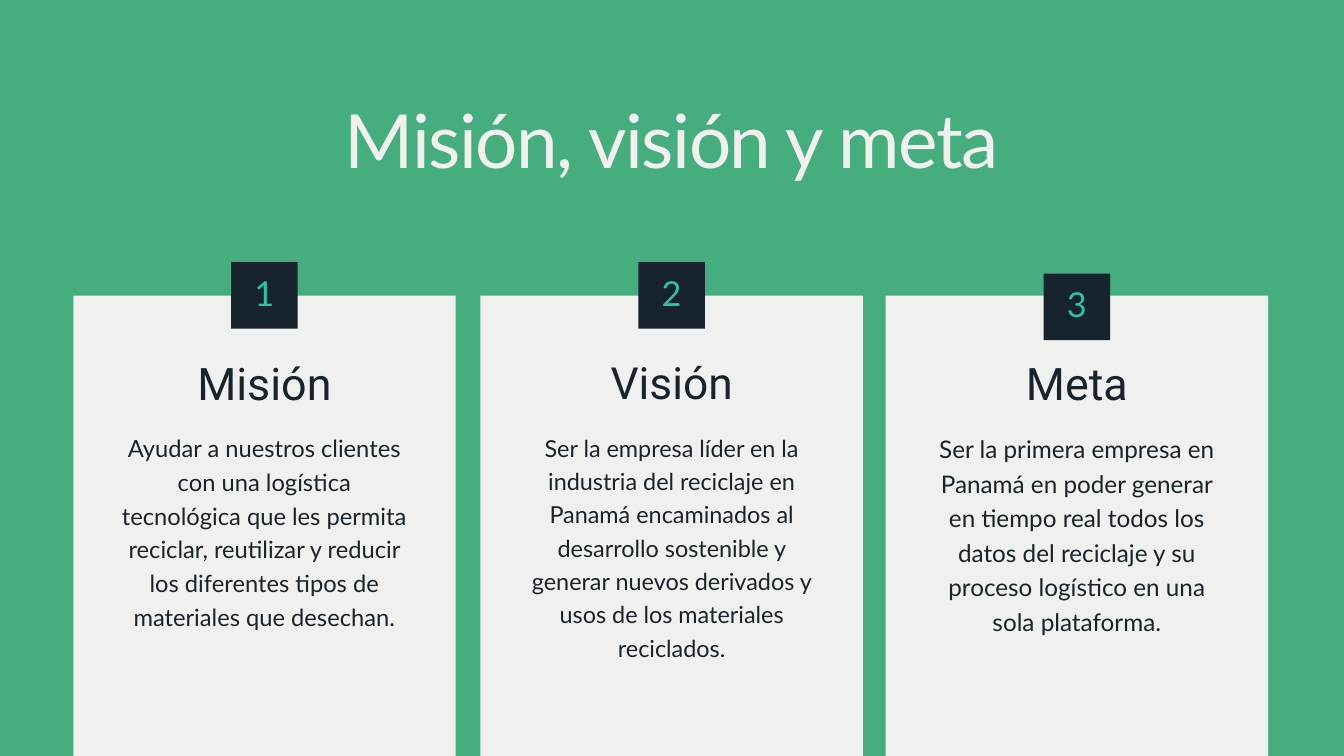
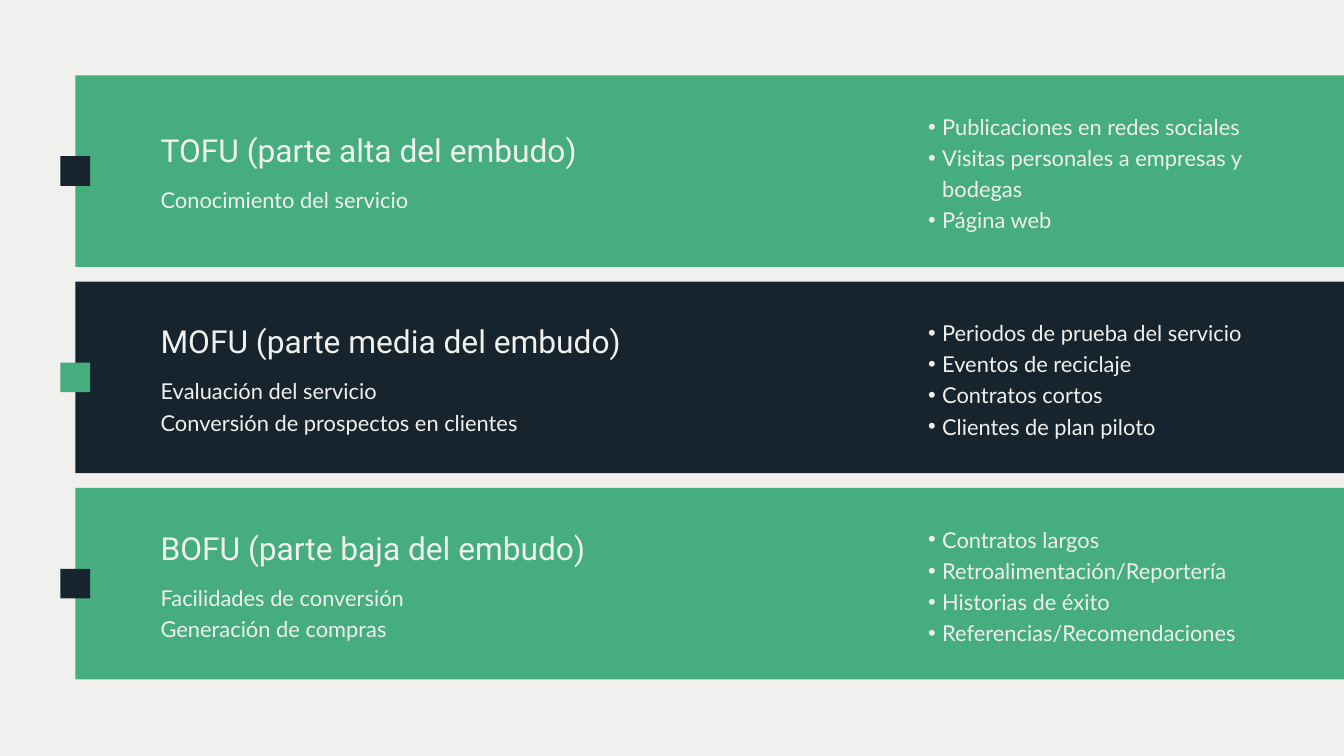
from lxml.etree import SubElement
from pptx import Presentation
from pptx.dml.color import RGBColor
from pptx.enum.shapes import MSO_SHAPE as Shape
from pptx.enum.text import MSO_AUTO_SIZE as AutoSize, PP_ALIGN as Align
from pptx.oxml.ns import qn
from pptx.util import Inches, Pt

# Grid: square cells, 20 columns by 11.25 rows
COLUMNS, ROWS = 20, 11.25
CELL = Inches(1)

# Shared colours and text styles
GREEN, DARK, LIGHT, MINT = "45AD7E", "17242D", "F0F0EE", "31C29F"
TITLE = dict(font="Lato", size=80, leading=96, color=LIGHT, tracking=-160, align=Align.CENTER)
NUMBER = dict(font="Lato", size=36.8, leading=36.8, color=MINT, tracking=-70, align=Align.CENTER)
CARD_HEAD = dict(font="Roboto", size=48, leading=60.5, color=DARK, align=Align.CENTER)
CARD_BODY = dict(font="Lato", size=25.4, leading=36.1, color=DARK, align=Align.CENTER)
BAND_HEAD = dict(font="Roboto", size=34, leading=40.8, color=LIGHT)
BAND_BODY = dict(font="Lato", size=23.4, leading=33.3, color=LIGHT)
BAND_LIST = dict(BAND_BODY, bullet="•")

# Cards: left, badge top, text width, body top, body height, head and body changes, texts
CARDS = [
    (1.09, 3.9, 4.44, 6.38, 2.95, {}, {}, "Misión",
     "Ayudar a nuestros clientes con una logística tecnológica que les permita "
     "reciclar, reutilizar y reducir los diferentes tipos de materiales que desechan."),
    (7.15, 3.9, 4.51, 6.38, 3.4, dict(size=47.4, leading=59.7),
     dict(size=25.1, leading=35.7), "Visión",
     "Ser la empresa líder en la industria del reciclaje en Panamá encaminados al "
     "desarrollo sostenible y generar nuevos derivados y usos de los materiales reciclados."),
    (13.18, 4.07, 4.44, 6.39, 3.03, {}, dict(size=26, leading=36.9), "Meta",
     "Ser la primera empresa en Panamá en poder generar en tiempo real todos los "
     "datos del reciclaje y su proceso logístico en una sola plataforma."),
]
CARD_TOP, CARD_WIDTH, BADGE = 4.4, 5.69, 0.99

# Funnel bands: fill, marker fill, heading, details, actions
BANDS = [
    (GREEN, DARK, "TOFU (parte alta del embudo)", ["Conocimiento del servicio"],
     ["Publicaciones en redes sociales", "Visitas personales a empresas y bodegas",
      "Página web"]),
    (DARK, GREEN, "MOFU (parte media del embudo)",
     ["Evaluación del servicio", "Conversión de prospectos en clientes"],
     ["Periodos de prueba del servicio", "Eventos de reciclaje", "Contratos cortos",
      "Clientes de plan piloto"]),
    (GREEN, DARK, "BOFU (parte baja del embudo)",
     ["Facilidades de conversión", "Generación de compras"],
     ["Contratos largos", "Retroalimentación/Reportería", "Historias de éxito",
      "Referencias/Recomendaciones"]),
]
BAND_LEFT, BAND_TOP, BAND_HEIGHT, BAND_GAP = 1.12, 1.12, 2.85, 0.22
MARKER = 0.44


def rgb(color):
    return RGBColor.from_string(color)


def cells(*amounts):
    return [round(amount * CELL) for amount in amounts]


def add_page(deck, color):
    page = deck.slides.add_slide(deck.slide_layouts[6])
    page.background.fill.solid()
    page.background.fill.fore_color.rgb = rgb(color)
    return page


def add_block(parent, left, top, width, height, color):
    block = parent.shapes.add_shape(Shape.RECTANGLE, *cells(left, top, width, height))
    block.shadow.inherit = False
    block.fill.solid()
    block.fill.fore_color.rgb = rgb(color)
    block.line.fill.background()


def add_bullet(para, mark):
    para.level = 1
    properties = para._p.get_or_add_pPr()
    indent, hanging = cells(0.42, -0.21)
    for name, value in {"marL": indent, "indent": hanging}.items():
        properties.set(name, str(value))
    SubElement(properties, qn("a:buFont")).set("typeface", "Arial")
    SubElement(properties, qn("a:buChar")).set("char", mark)


def add_text(parent, left, top, width, height, lines, style):
    box = parent.shapes.add_textbox(*cells(left, top, width, height))
    frame = box.text_frame
    settings = dict(margin_left=0, margin_top=0, margin_right=0, margin_bottom=0,
                    word_wrap=True, auto_size=AutoSize.SHAPE_TO_FIT_TEXT)
    for name, value in settings.items():
        setattr(frame, name, value)
    for index, line in enumerate(lines):
        para = frame.paragraphs[0] if index == 0 else frame.add_paragraph()
        para.alignment = style.get("align", Align.LEFT)
        para.line_spacing = Pt(style["leading"])
        if "bullet" in style:
            add_bullet(para, style["bullet"])
        span = para.add_run()
        span.text = line
        for name, value in dict(name=style["font"], size=Pt(style["size"])).items():
            setattr(span.font, name, value)
        span.font.color.rgb = rgb(style["color"])
        if "tracking" in style:
            span._r.get_or_add_rPr().set("spc", str(style["tracking"]))


def add_badge(page, center, top, number):
    group = page.shapes.add_group_shape()
    add_block(group, center - BADGE / 2, top, BADGE, BADGE, DARK)
    add_text(group, center - 0.34, top + 0.25, 0.68, 0.55, [str(number)], NUMBER)


def add_card(page, number, card):
    left, badge_top, width, body_top, body_height, head_format, body_format, head, body = card
    center = left + CARD_WIDTH / 2
    add_block(page, left, CARD_TOP, CARD_WIDTH, ROWS - CARD_TOP, LIGHT)
    add_badge(page, center, badge_top, number)
    group = page.shapes.add_group_shape()
    text_left = center - width / 2
    add_text(group, text_left, 5.25, width, 0.82, [head], CARD_HEAD | head_format)
    add_text(group, text_left, body_top, width, body_height, [body], CARD_BODY | body_format)


def add_band(page, top, band):
    color, marker_color, head, details, actions = band
    add_block(page, BAND_LEFT, top, COLUMNS - BAND_LEFT, BAND_HEIGHT, color)
    add_block(page, BAND_LEFT - MARKER / 2, top + (BAND_HEIGHT - MARKER) / 2,
              MARKER, MARKER, marker_color)

    # Heading and details are centred together in the band's height
    details_height = 0.44 * len(details)
    head_top = top + (BAND_HEIGHT - 0.76 - details_height) / 2
    group = page.shapes.add_group_shape()
    add_text(group, 2.39, head_top, 10.08, 0.56, [head], BAND_HEAD)
    add_text(group, 2.39, head_top + 0.76, 10.08, details_height, details, BAND_BODY)
    add_text(page, 13.6, top + 0.5, 5.28, 1.81, actions, BAND_LIST)


def main():
    deck = Presentation()
    deck.slide_width, deck.slide_height = cells(COLUMNS, ROWS)

    # Mission, vision and goal
    page = add_page(deck, GREEN)
    for number, card in enumerate(CARDS, 1):
        add_card(page, number, card)
    add_text(page, 1.11, 1.4, 17.78, 1.33, ["Misión, visión y meta"], TITLE)

    # Sales funnel
    page = add_page(deck, LIGHT)
    for index, band in enumerate(BANDS):
        add_band(page, BAND_TOP + index * (BAND_HEIGHT + BAND_GAP), band)

    deck.save("out.pptx")


if __name__ == "__main__":
    main()
